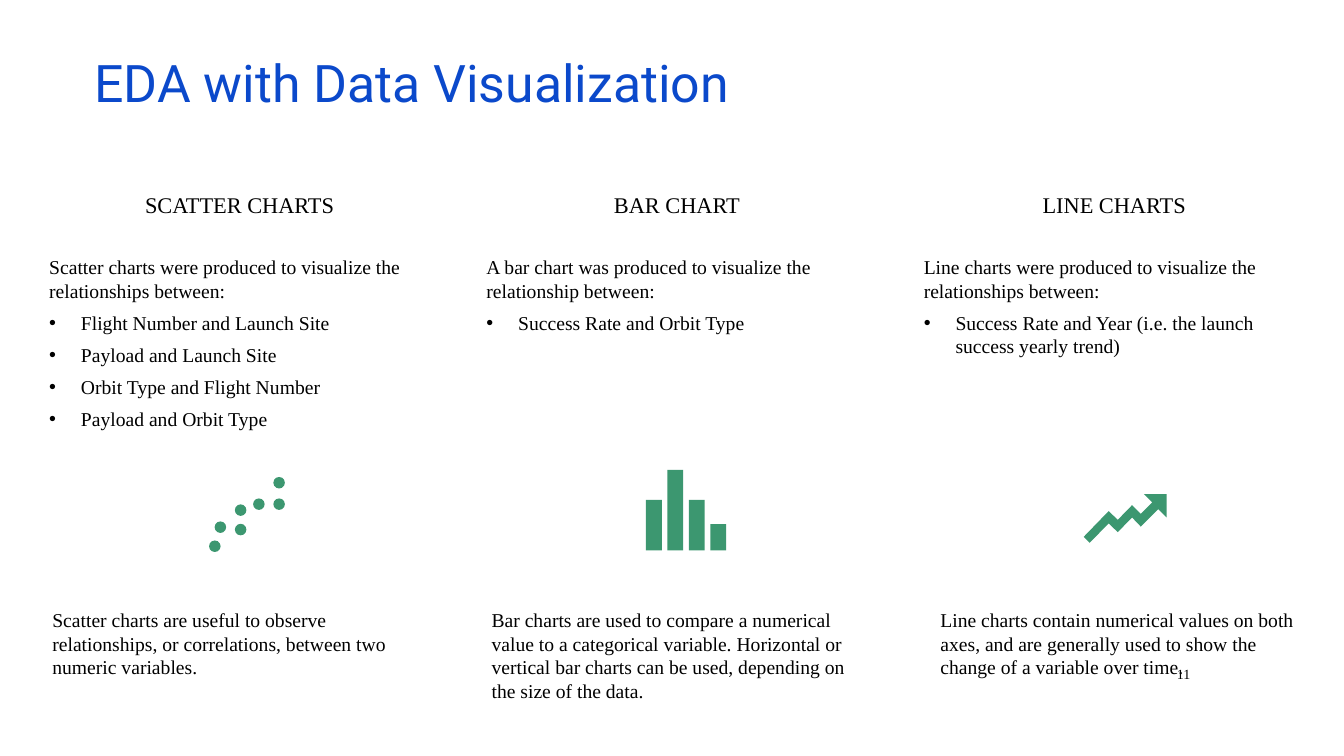
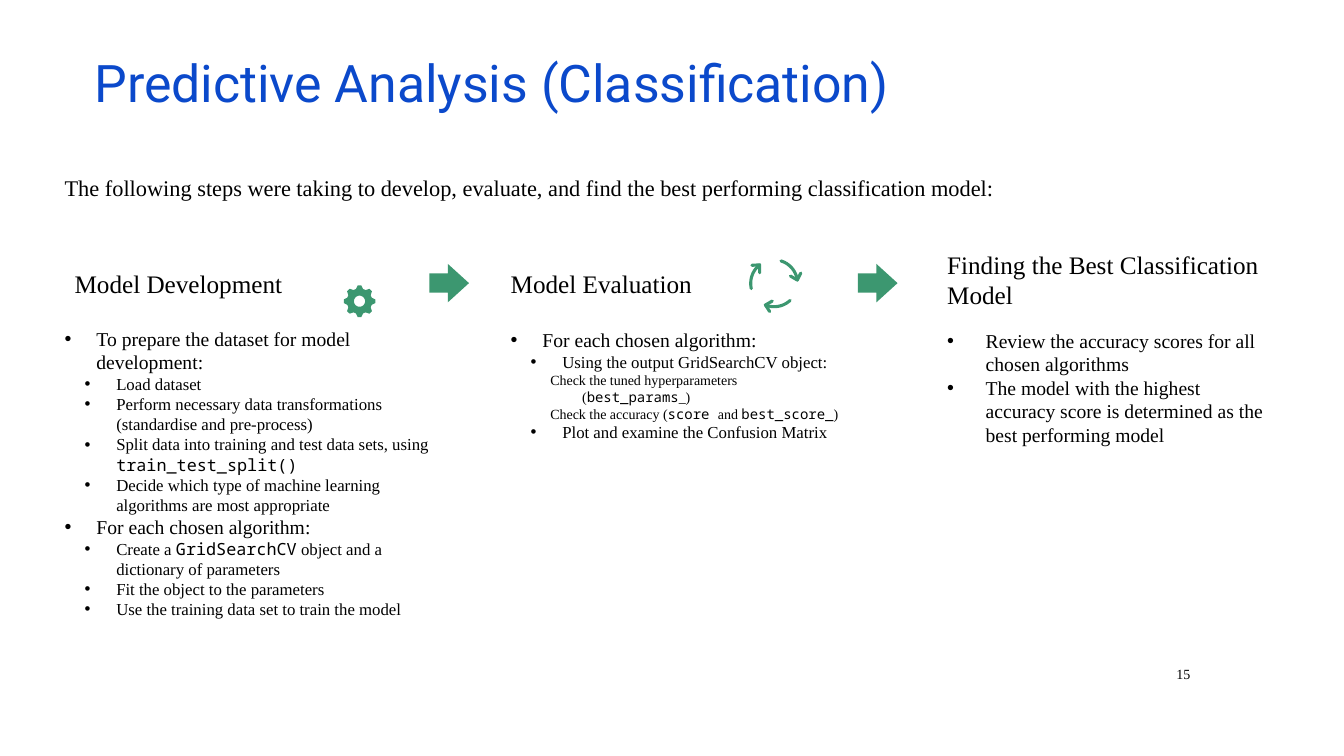
"""Build two slides on data visualization and predictive analysis."""
from copy import deepcopy
from math import cos, radians, sin

from lxml import etree
from pptx import Presentation
from pptx.dml.color import RGBColor
from pptx.enum import shapes, text
from pptx.oxml import ns
from pptx.util import Cm, Pt

BLUE = RGBColor(0x0B, 0x49, 0xCB)
GREEN = RGBColor(0x3C, 0x97, 0x70)
BLACK = RGBColor(0, 0, 0)
TITLE_FONT, BODY_FONT, CODE_FONT = "Roboto", "Times New Roman", "Noto Sans Mono"
SIZES = {None: 14, 0: 14, 1: 12, 2: 10}
BODY_IDS = (1, 2, 13)
MIDDLE = text.MSO_ANCHOR.MIDDLE
CENTER, RIGHT = text.PP_ALIGN.CENTER, text.PP_ALIGN.RIGHT


def place(shape, left, top, width, height):
    shape.left, shape.top = Cm(left), Cm(top)
    shape.width, shape.height = Cm(width), Cm(height)


def set_bullet(paragraph, level, hanging):
    properties = paragraph._p.get_or_add_pPr()
    margin = 0 if level is None else hanging + 0.5 * level
    properties.set("marL", str(Cm(margin)))
    properties.set("indent", str(0 if level is None else -Cm(hanging)))
    if level in (0, 1):
        etree.SubElement(properties, ns.qn("a:buChar")).set("char", "•")
    else:
        etree.SubElement(properties, ns.qn("a:buNone"))


def write(shape, items, size=None, font=BODY_FONT, color=BLACK, align=text.PP_ALIGN.LEFT,
          anchor=text.MSO_ANCHOR.TOP, after=0, spacing=1.0, hanging=0.8):
    """Write (level, text) items; text between backticks is set as code."""
    frame = shape.text_frame
    frame.word_wrap = True
    frame.auto_size = text.MSO_AUTO_SIZE.NONE
    frame.vertical_anchor = anchor
    frame.margin_left = frame.margin_right = frame.margin_top = frame.margin_bottom = 0
    if isinstance(items, str):
        items = [(None, items)]
    for number, (level, content) in enumerate(items):
        paragraph = frame.add_paragraph() if number else frame.paragraphs[0]
        paragraph.level = level or 0
        paragraph.alignment = align
        paragraph.line_spacing = spacing
        paragraph.space_before, paragraph.space_after = Pt(0), Pt(after)
        set_bullet(paragraph, level, hanging)
        for part, piece in enumerate(content.split("`")):
            if piece:
                run = paragraph.add_run()
                run.text = piece
                run.font.name = CODE_FONT if part % 2 else font
                run.font.size = Pt(size or SIZES[level])
                run.font.color.rgb = color


class Deck:
    """Hold the shared style and the current slide."""

    def __init__(self):
        self.presentation = Presentation()
        self.presentation.slide_width = Cm(33.87)
        self.presentation.slide_height = Cm(19.05)
        self.layout = self.presentation.slide_layouts[3]
        second_body = next(p for p in self.layout.placeholders
                           if p.placeholder_format.idx == BODY_IDS[1])
        third_body = deepcopy(second_body.element)
        third_body.find(".//" + ns.qn("p:ph")).set("idx", str(BODY_IDS[2]))
        third_body.find(".//" + ns.qn("p:cNvPr")).set("id", "20")
        second_body.element.addnext(third_body)

    def start_slide(self, title, number):
        self.slide = self.presentation.slides.add_slide(self.layout)
        self.shapes = self.slide.shapes
        place(self.shapes.title, 2.38, 1.5, 28.7, 1.52)
        write(self.shapes.title, title, size=37, font=TITLE_FONT, color=BLUE,
              anchor=MIDDLE, spacing=0.7)
        self.label(number, (28.5, 16.59, 1.5, 0.79), size=10, align=RIGHT, anchor=MIDDLE)

    def label(self, content, box, **style):
        shape = self.shapes.add_textbox(0, 0, 0, 0)
        place(shape, *box)
        write(shape, content, **style)

    def body(self, column, items, box, **style):
        shape = self.slide.placeholders[BODY_IDS[column]]
        place(shape, *box)
        write(shape, items, **style)

    def paint(self, shape):
        shape.shadow.inherit = False
        shape.fill.solid()
        shape.fill.fore_color.rgb = GREEN
        shape.line.fill.background()

    def solid(self, kind, left, top, width, height):
        shape = self.shapes.add_shape(kind, Cm(left), Cm(top), Cm(width), Cm(height))
        self.paint(shape)
        return shape

    def outline(self, contours, closed=True):
        builder = None
        for contour in contours:
            start, *others = [(Cm(x), Cm(y)) for x, y in contour]
            if builder is None:
                builder = self.shapes.build_freeform(*start)
            else:
                builder.move_to(*start)
            builder.add_line_segments(others, close=closed)
        shape = builder.convert_to_shape()
        self.paint(shape)
        return shape

    def stroke(self, contours, width):
        shape = self.outline(contours, closed=False)
        shape.fill.background()
        shape.line.color.rgb = GREEN
        shape.line.width = Pt(width)
        shape.line._get_or_add_ln().set("cap", "rnd")


def polar(center, radius, degrees):
    angle = radians(degrees)
    return center[0] + radius * cos(angle), center[1] + radius * sin(angle)


def draw_scatter_icon(deck):
    for left, top in ((5.27, 13.62), (5.41, 13.14), (5.92, 13.2), (5.92, 12.71),
                      (6.38, 12.56), (6.89, 12.56), (6.89, 12.02)):
        deck.solid(shapes.MSO_SHAPE.OVAL, left, top, 0.29, 0.29)


def draw_bar_icon(deck):
    for bar, height in enumerate((1.27, 2.03, 1.27, 0.66)):
        deck.solid(shapes.MSO_SHAPE.RECTANGLE, 16.28 + 0.54 * bar, 13.87 - height, 0.4, height)


def draw_trend_icon(deck):
    deck.outline([[
        (28.83, 12.45), (29.04, 12.66), (28.75, 12.95), (28.53, 12.73), (28.17, 13.1),
        (27.94, 12.88), (27.31, 13.53), (27.46, 13.68), (27.94, 13.19), (28.17, 13.41),
        (28.53, 13.04), (28.75, 13.27), (29.19, 12.83), (29.4, 13.04), (29.4, 12.45)]])


def draw_gear(deck):
    center = (9.06, 7.59)
    profile = ((0.32, -16.5), (0.4, -6.5), (0.4, 6.5), (0.32, 16.5))
    teeth = [polar(center, radius, turn + offset)
             for turn in range(0, 360, 45) for radius, offset in profile]
    hole = [polar(center, 0.14, turn) for turn in range(360, 0, -10)]
    deck.outline([teeth, hole])


def draw_cycle(deck):
    center = (19.51, 7.14)
    for start in (-73, 47, 167):
        end = start + 65
        arc = [polar(center, 0.59, turn) for turn in range(start, end + 1, 5)]
        head = [polar(center, 0.45, end - 16), arc[-1], polar(center, 0.72, end - 13)]
        deck.stroke([arc, head], 2.2)


def build_visualization(deck):
    deck.start_slide("EDA with Data Visualization", "11")
    columns = (
        ("SCATTER CHARTS",
         [(None, "Scatter charts were produced to visualize the relationships between:"),
          (0, "Flight Number and Launch Site"),
          (0, "Payload and Launch Site"),
          (0, "Orbit Type and Flight Number"),
          (0, "Payload and Orbit Type")],
         1.32, "Scatter charts are useful to observe relationships, or correlations, "
               "between two numeric variables."),
        ("BAR CHART",
         [(None, "A bar chart was produced to visualize the relationship between:"),
          (0, "Success Rate and Orbit Type")],
         12.39, "Bar charts are used to compare a numerical value to a categorical variable. "
                "Horizontal or vertical bar charts can be used, depending on the size of the data."),
        ("LINE CHARTS",
         [(None, "Line charts were produced to visualize the relationships between:"),
          (0, "Success Rate and Year (i.e. the launch success yearly trend)")],
         23.7, "Line charts contain numerical values on both axes, and are generally used "
               "to show the change of a variable over time."),
    )
    for column, (heading, items, caption_left, caption) in enumerate(columns):
        left = 1.24 + 11.02 * column
        deck.label(heading, (left, 3.99, 9.6, 2.34), size=16, align=CENTER, anchor=MIDDLE)
        deck.body(column, items, (left, 6.43, 9.6, 8), after=6)
        deck.label(caption, (caption_left, 15.32, 9.09, 2.4))
    draw_scatter_icon(deck)
    draw_bar_icon(deck)
    draw_trend_icon(deck)


def build_prediction(deck):
    deck.start_slide("Predictive Analysis (Classification)", "15")
    deck.label("The following steps were taking to develop, evaluate, and find the best "
               "performing classification model:", (1.63, 4.39, 31.67, 1.5), size=16)
    columns = (
        ("Model Development", (1.88, 6.16, 6.6, 1.96), (1.63, 8.23, 9.22, 9.45), 0.8,
         [(0, "To prepare the dataset for model development:"),
          (1, "Load dataset"),
          (1, "Perform necessary data transformations (standardise and pre-process)"),
          (1, "Split data into training and test data sets, using `train_test_split()`"),
          (1, "Decide which type of machine learning algorithms are most appropriate"),
          (0, "For each chosen algorithm:"),
          (1, "Create a `GridSearchCV` object and a dictionary of parameters"),
          (1, "Fit the object to the parameters"),
          (1, "Use the training data set to train the model")]),
        ("Model Evaluation", (12.87, 6.16, 5.8, 1.96), (12.87, 8.26, 8.49, 9.42), 0.8,
         [(0, "For each chosen algorithm:"),
          (1, "Using the output GridSearchCV object:"),
          (2, "Check the tuned hyperparameters (`best_params`_)"),
          (2, "Check the accuracy (`score `and `best_score_`)"),
          (1, "Plot and examine the Confusion Matrix")]),
        ("Finding the Best Classification Model", (23.87, 6.07, 9.09, 1.96),
         (23.87, 8.28, 8.08, 9.4), 0.97,
         [(0, "Review the accuracy scores for all chosen algorithms"),
          (0, "The model with the highest accuracy score is determined as the best "
              "performing model")]),
    )
    for column, (heading, heading_box, list_box, hanging, items) in enumerate(columns):
        deck.label(heading, heading_box, size=18, anchor=MIDDLE)
        deck.body(column, items, list_box, hanging=hanging)
    for left in (10.82, 21.62):
        arrow = deck.solid(shapes.MSO_SHAPE.RIGHT_ARROW, left, 6.65, 1, 0.97)
        arrow.adjustments[1] = 0.55
    draw_gear(deck)
    draw_cycle(deck)


def main():
    deck = Deck()
    build_visualization(deck)
    build_prediction(deck)
    deck.presentation.save("out.pptx")


if __name__ == "__main__":
    main()
